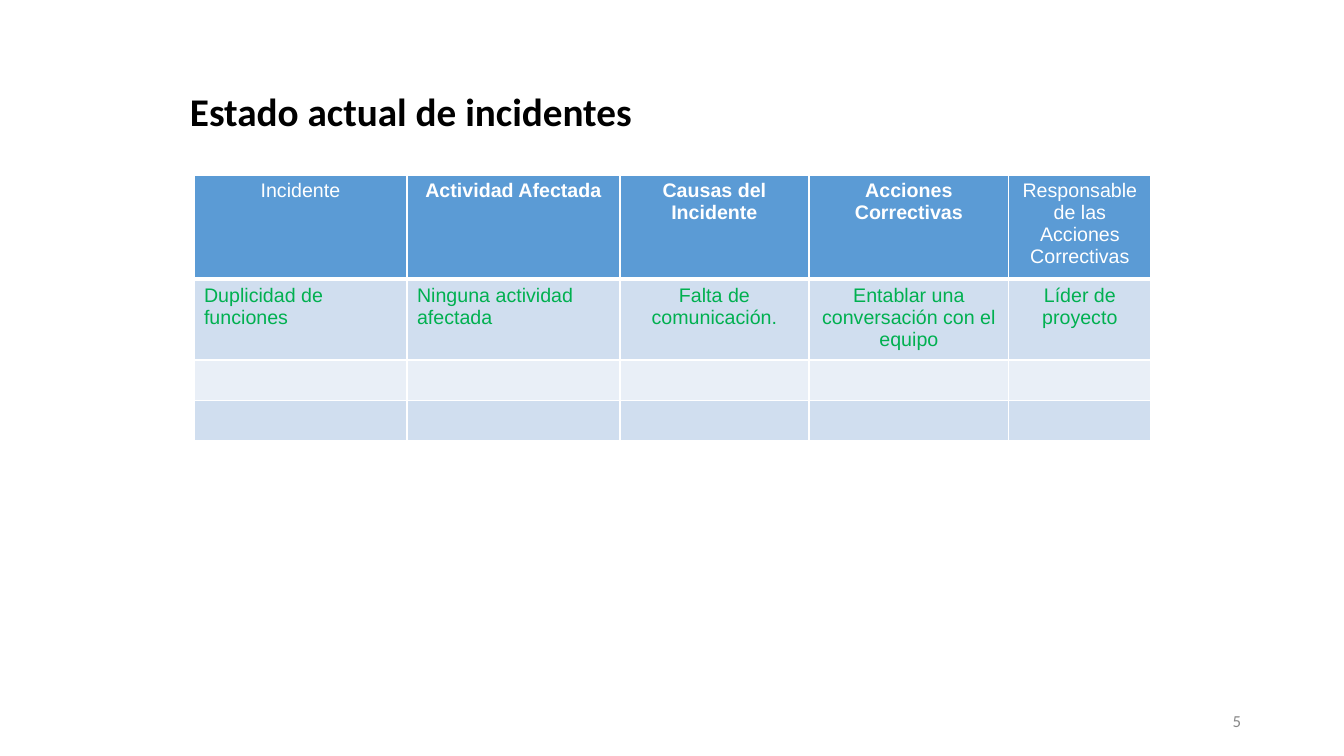
from dataclasses import dataclass

from pptx import Presentation
from pptx.dml.color import RGBColor
from pptx.enum.text import MSO_ANCHOR as Anchor, PP_ALIGN as Align
from pptx.oxml import parse_xml
from pptx.oxml.ns import nsdecls
from pptx.util import Emu, Pt

TITLE = "Estado actual de incidentes"
PAGE_NUMBER = "5"
# heading, bold heading, incident entry, entry alignment, width
COLUMNS = [
    ("Incidente", False, "Duplicidad de funciones", Align.LEFT, 213),
    ("Actividad Afectada", True, "Ninguna actividad afectada", Align.LEFT, 213),
    ("Causas del Incidente", True, "Falta de comunicación.", Align.CENTER, 189),
    ("Acciones Correctivas", True, "Entablar una conversación con el equipo",
     Align.CENTER, 200),
    ("Responsable de las Acciones Correctivas", False, "Líder de proyecto",
     Align.CENTER, 142),
]
ROW_HEIGHTS = [98, 75, 39, 40]
TABLE_LEFT, TABLE_TOP = 194, 175
TITLE_BOX = (180, 91, 857, 39)
NUMBER_BOX = (949, 701, 302, 40)


@dataclass(frozen=True)
class Theme:
    heading_font: str = "Calibri"
    table_font: str = "Arial"
    title_size: int = 28
    table_size: int = 14
    number_size: int = 12
    black: str = "000000"
    gray: str = "888888"
    white: str = "FFFFFF"
    green: str = "00B050"
    header: str = "5B9BD5"
    bands: tuple = ("D0DEEF", "E9EFF7")


THEME = Theme()


def px(length):
    return Emu(round(length * 914400 / 100.8))


def write(frame, text, font, size, color, bold=False, align=Align.LEFT):
    frame.word_wrap = True
    para = frame.paragraphs[0]
    para.text = text
    para.alignment = align
    for span in para.runs:
        span.font.name = font
        span.font.size = Pt(size)
        span.font.bold = bold
        span.font.color.rgb = RGBColor.from_string(color)


def add_label(page, place, text, size, color, **style):
    box = page.shapes.add_textbox(*map(px, place))
    box.text_frame.vertical_anchor = Anchor.MIDDLE
    write(box.text_frame, text, THEME.heading_font, size, color, **style)


def paint_cell(cell, fill, widths):
    """Fill the cell and draw its borders; widths maps a side to points."""
    cell.fill.solid()
    cell.fill.fore_color.rgb = RGBColor.from_string(fill)
    properties = cell._tc.get_or_add_tcPr()
    for index, (side, width) in enumerate(widths.items()):
        properties.insert(index, parse_xml(
            f'<a:ln{side} {nsdecls("a")} w="{Pt(width)}"><a:solidFill>'
            f'<a:srgbClr val="{THEME.white}"/></a:solidFill></a:ln{side}>'))


def add_incident_table(page):
    widths = [column[-1] for column in COLUMNS]
    table = page.shapes.add_table(
        len(ROW_HEIGHTS), len(COLUMNS), px(TABLE_LEFT), px(TABLE_TOP),
        px(sum(widths)), px(sum(ROW_HEIGHTS))).table
    for row, height in zip(table.rows, ROW_HEIGHTS):
        row.height = px(height)
    for index, (heading, bold, entry, align, width) in enumerate(COLUMNS):
        table.columns[index].width = px(width)
        write(table.cell(0, index).text_frame, heading, THEME.table_font,
              THEME.table_size, THEME.white, bold, Align.CENTER)
        write(table.cell(1, index).text_frame, entry, THEME.table_font,
              THEME.table_size, THEME.green, align=align)
        for row in range(len(ROW_HEIGHTS)):
            fill = THEME.bands[(row - 1) % 2] if row else THEME.header
            borders = {"L": 1, "R": 1, "T": 3 if row == 1 else 1,
                       "B": 1 if row else 3}
            paint_cell(table.cell(row, index), fill, borders)


def main():
    deck = Presentation()
    deck.slide_width, deck.slide_height = px(1344), px(756)
    page = deck.slides.add_slide(deck.slide_layouts[6])
    add_label(page, TITLE_BOX, TITLE, THEME.title_size, THEME.black, bold=True)
    add_label(page, NUMBER_BOX, PAGE_NUMBER, THEME.number_size, THEME.gray,
              align=Align.RIGHT)
    add_incident_table(page)
    deck.save("out.pptx")


if __name__ == "__main__":
    main()
